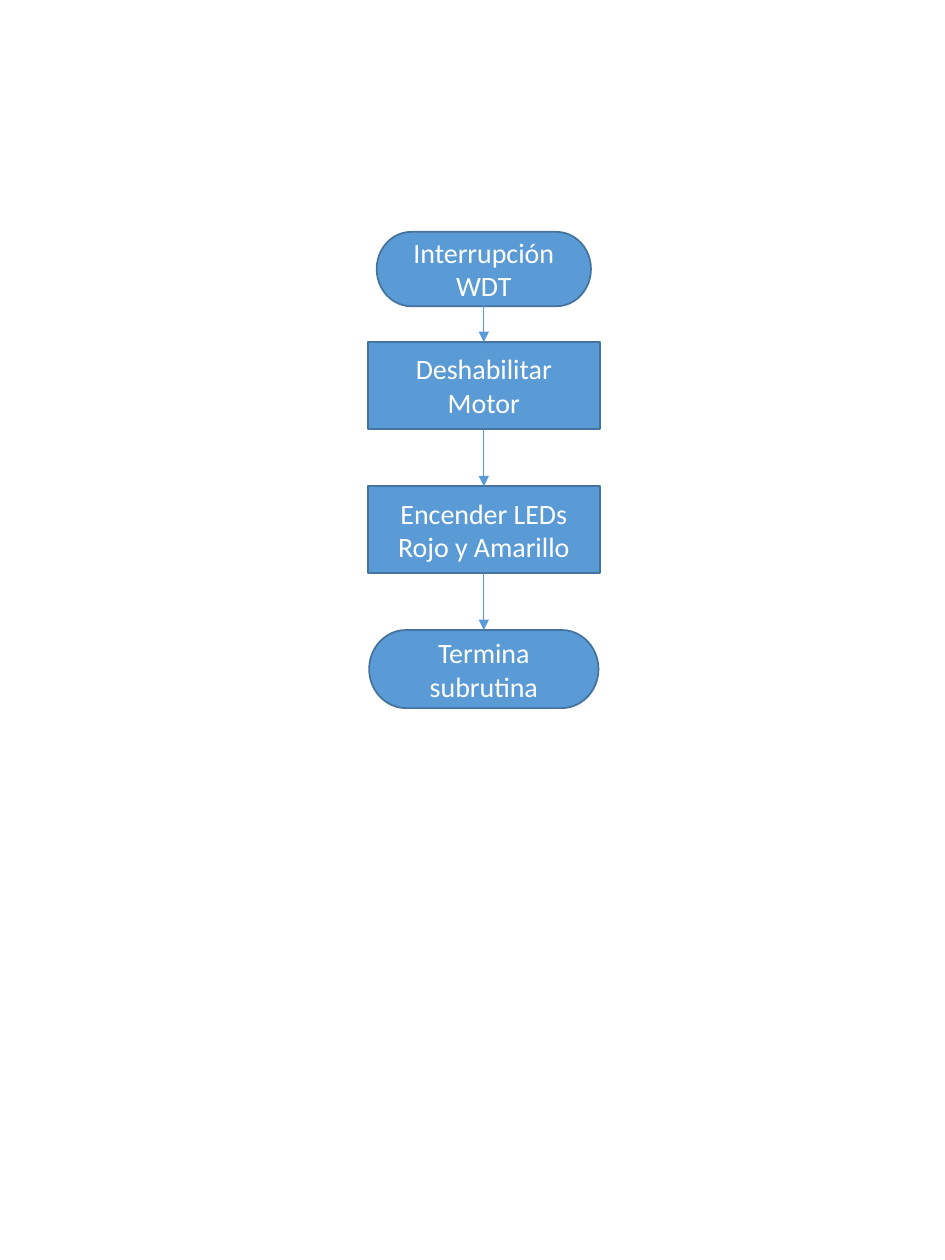
from lxml import etree
from pptx import Presentation
from pptx import util as u
from pptx.dml.color import RGBColor
from pptx.enum import shapes, text
from pptx.oxml.ns import qn

COLORS = {"fill": "5B9BD5", "border": "43739E", "text": "FFFFFF"}

presentation = Presentation()
presentation.slide_width = u.Inches(7.5)
presentation.slide_height = u.Inches(10)
slide = presentation.slides.add_slide(presentation.slide_layouts[6])

column = presentation.slide_width / 100
row = presentation.slide_height / 100
center = 51.2 * column

TERMINATOR = shapes.MSO_SHAPE.FLOWCHART_TERMINATOR
PROCESS = shapes.MSO_SHAPE.FLOWCHART_PROCESS
steps = [
    (TERMINATOR, 18.4, 22.67, 5.9, ["Interrupción", "WDT"]),
    (PROCESS, 27.15, 24.53, 6.9, ["Deshabilitar Motor"]),
    (PROCESS, 38.6, 24.53, 6.9, ["Encender LEDs Rojo y Amarillo"]),
    (TERMINATOR, 50, 24.27, 6.2, ["Termina subrutina"]),
]

boxes = []
for kind, top, columns, rows, lines in steps:
    width = columns * column
    shape = slide.shapes.add_shape(
        kind, u.Emu(int(center - width / 2)), u.Emu(int(top * row)),
        u.Emu(int(width)), u.Emu(int(rows * row)))
    shape.shadow.inherit = False
    shape.fill.solid()
    shape.fill.fore_color.rgb = RGBColor.from_string(COLORS["fill"])
    shape.line.color.rgb = RGBColor.from_string(COLORS["border"])
    shape.line.width = u.Pt(1)
    frame = shape.text_frame
    frame.word_wrap = True
    frame.vertical_anchor = text.MSO_ANCHOR.MIDDLE
    frame.text = "\n".join(lines)
    for paragraph in frame.paragraphs:
        paragraph.alignment = text.PP_ALIGN.CENTER
        paragraph.font.name = "Calibri"
        paragraph.font.size = u.Pt(16)
        paragraph.font.color.rgb = RGBColor.from_string(COLORS["text"])
    boxes.append(shape)

for upper, lower in zip(boxes, boxes[1:]):
    arrow = slide.shapes.add_connector(shapes.MSO_CONNECTOR.STRAIGHT, 0, 0, 0, 0)
    arrow.begin_connect(upper, 2)
    arrow.end_connect(lower, 0)
    arrow.line.color.rgb = RGBColor.from_string(COLORS["fill"])
    arrow.line.width = u.Pt(0.5)
    etree.SubElement(arrow.line._get_or_add_ln(), qn("a:tailEnd"), type="triangle")
    etree.SubElement(arrow._element.spPr, qn("a:effectLst"))

presentation.save("out.pptx")
